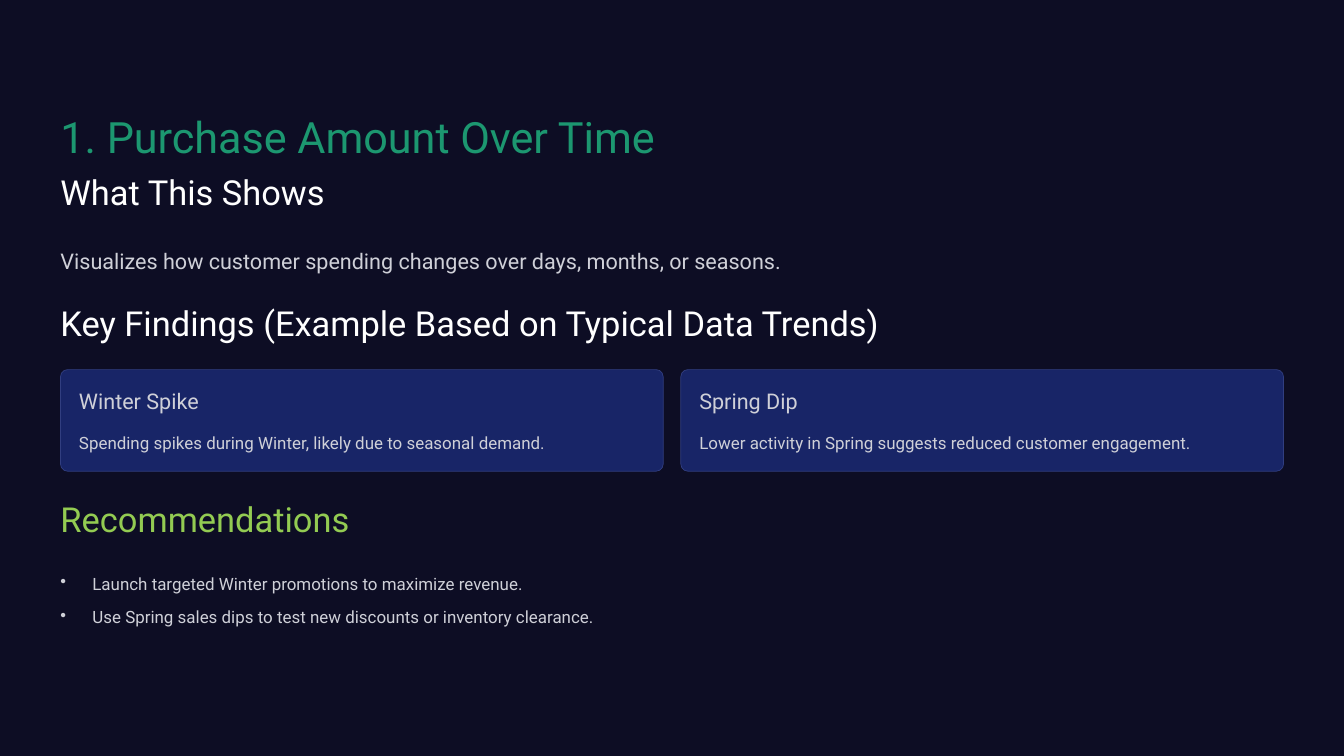
from lxml import etree
from pptx import Presentation
from pptx.dml.color import RGBColor
from pptx.enum.shapes import MSO_SHAPE
from pptx.enum.text import MSO_ANCHOR, MSO_AUTO_SIZE, PP_ALIGN
from pptx.oxml.ns import qn
from pptx.util import Inches, Pt

ROUNDED = MSO_SHAPE.ROUNDED_RECTANGLE
TOP = MSO_ANCHOR.TOP
FIXED = MSO_AUTO_SIZE.NONE
LEFT = PP_ALIGN.LEFT

TITLE = "1. Purchase Amount Over Time"
SUMMARY = "Visualizes how customer spending changes over days, months, or seasons."
HEADINGS = [  # text, top, colour
    ("What This Shows", 2.02, "white"),
    ("Key Findings (Example Based on Typical Data Trends)", 3.57, "white"),
    ("Recommendations", 5.91, "lime"),
]
FINDINGS = [
    ("Winter Spike", "Spending spikes during Winter, likely due to seasonal demand."),
    ("Spring Dip", "Lower activity in Spring suggests reduced customer engagement."),
]
RECOMMENDATIONS = [
    "Launch targeted Winter promotions to maximize revenue.",
    "Use Spring sales dips to test new discounts or inventory clearance.",
]

FONT = "Roboto"
COLORS = {
    "background": "0D0D24",
    "green": "1C9770",
    "lime": "93CB52",
    "white": "FFFFFF",
    "body": "CFD0D8",
    "card": "182567",
    "border": "313E80",
}

PAGE_WIDTH, PAGE_HEIGHT = 16, 9
MARGIN = 0.72
CONTENT_WIDTH = PAGE_WIDTH - 2 * MARGIN
GAP = 0.21
CARD_WIDTH = (CONTENT_WIDTH - GAP * (len(FINDINGS) - 1)) / len(FINDINGS)
CARD_TOP, CARD_HEIGHT = 4.4, 1.21
PADDING = 0.22
BULLET_INDENT = 0.38


def color(name):
    return RGBColor.from_string(COLORS[name])


def add_bullet(para):
    properties = para._p.get_or_add_pPr()
    properties.set("marL", str(Inches(BULLET_INDENT)))
    properties.set("indent", str(-Inches(BULLET_INDENT)))
    etree.SubElement(properties, qn("a:buChar")).set("char", "•")


def write(page, lines, left, top, width, height, size=14.5, leading=23.5,
          fill="body", bullets=False, gap=0, box=None):
    """Write lines into a new text box, or into the given placeholder."""
    place = [Inches(value) for value in (left, top, width, height)]
    if box is None:
        box = page.shapes.add_textbox(*place)
    else:
        box.left, box.top, box.width, box.height = place
    frame = box.text_frame
    frame.margin_left = frame.margin_right = frame.margin_top = frame.margin_bottom = 0
    frame.word_wrap = True
    frame.auto_size = FIXED
    frame.vertical_anchor = TOP
    frame.text = "\n".join(lines)
    for index, para in enumerate(frame.paragraphs):
        para.alignment = LEFT
        para.line_spacing = Pt(leading)
        para.space_before = Pt(gap if index else 0)
        if bullets:
            add_bullet(para)
        for span in para.runs:
            span.font.name = FONT
            span.font.size = Pt(size)
            span.font.color.rgb = color(fill)


def add_card(page, left, heading, detail):
    card = page.shapes.add_shape(ROUNDED, Inches(left), Inches(CARD_TOP),
                                 Inches(CARD_WIDTH), Inches(CARD_HEIGHT))
    card.adjustments[0] = 0.07
    card.shadow.inherit = False
    card.fill.solid()
    card.fill.fore_color.rgb = color("card")
    card.line.color.rgb = color("border")
    card.line.width = Pt(0.6)
    text_left, text_width = left + PADDING, CARD_WIDTH - 2 * PADDING
    write(page, [heading], text_left, CARD_TOP + 0.21, text_width, 0.32,
          size=18.5, leading=23)
    write(page, [detail], text_left, CARD_TOP + 0.66, text_width, 0.33)


def main():
    deck = Presentation()
    deck.slide_width, deck.slide_height = Inches(PAGE_WIDTH), Inches(PAGE_HEIGHT)
    page = deck.slides.add_slide(deck.slide_layouts[5])
    page.background.fill.solid()
    page.background.fill.fore_color.rgb = color("background")

    write(page, [TITLE], MARGIN, 1.29, CONTENT_WIDTH, 0.65, size=37, leading=46.5,
          fill="green", box=page.shapes.title)
    for text, top, fill in HEADINGS:
        write(page, [text], MARGIN, top, CONTENT_WIDTH, 0.52, size=29.5, leading=37,
              fill=fill)
    write(page, [SUMMARY], MARGIN, 2.85, CONTENT_WIDTH, 0.41, size=18.5, leading=29.5)
    for column, (heading, detail) in enumerate(FINDINGS):
        add_card(page, MARGIN + column * (CARD_WIDTH + GAP), heading, detail)
    write(page, RECOMMENDATIONS, MARGIN, 6.74, CONTENT_WIDTH, 0.73, bullets=True, gap=5.3)

    deck.save("out.pptx")


if __name__ == "__main__":
    main()
